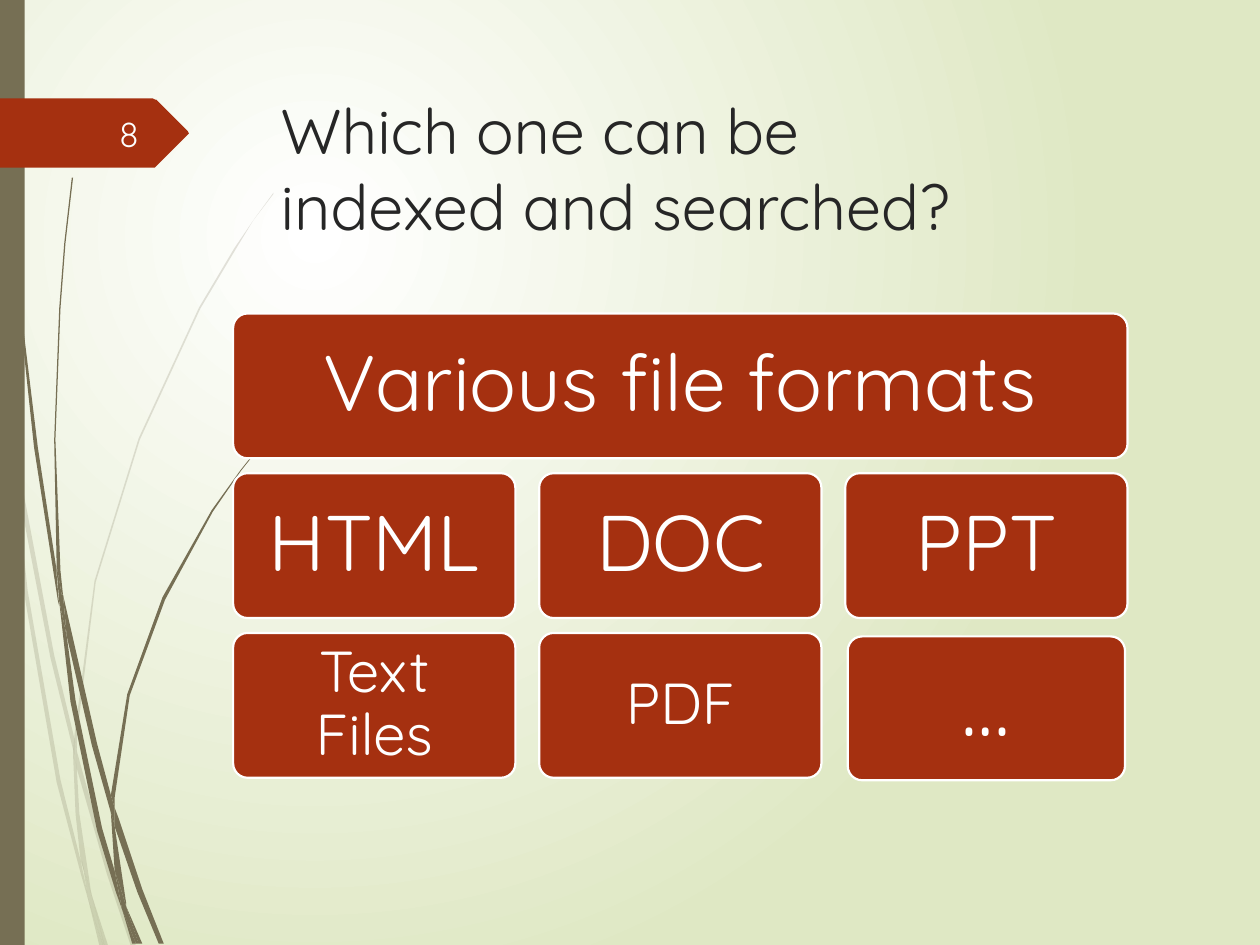
from dataclasses import dataclass

import pptx
import pptx.dml.color
import pptx.enum.shapes
import pptx.enum.text
import pptx.oxml
import pptx.oxml.ns
import pptx.util

Cm = pptx.util.Cm
SHAPES = pptx.enum.shapes.MSO_SHAPE
ALIGN = pptx.enum.text.PP_ALIGN
ANCHOR = pptx.enum.text.MSO_ANCHOR


@dataclass(frozen=True)
class Theme:
    font: str = "Quicksand"
    accent: str = "A53010"
    stalk: str = "766F54"
    title: str = "262626"
    white: str = "FFFFFF"
    number: str = "FEFFFF"
    background_edge: str = "DFE8C4"
    title_size: int = 36
    number_size: int = 20
    large_size: int = 45
    small_size: int = 33
    dots_size: int = 50


THEME = Theme()

# Outline corners are in hundredths of an inch.
OUTLINE_UNIT = Cm(2.54) / 100
PALE_STALKS = [
    [(8, 350), (6, 322), (0, 282), (0, 299), (7, 344)],
    [(40, 522), (59, 599), (59, 586), (43, 520), (10, 345), (12, 376)],
    [(64, 607), (61, 596), (61, 610), (85, 694), (104, 751), (108, 751), (88, 692)],
    [(83, 751), (86, 751), (73, 711)],
    [(64, 683), (48, 619), (22, 469), (12, 376), (8, 350), (19, 470), (45, 621),
     (64, 693), (70, 714), (69, 707)],
    [(58, 599), (60, 646), (64, 683), (67, 692), (73, 711), (72, 706), (63, 646),
     (61, 610), (61, 608)],
    [(61, 584), (76, 462), (111, 349), (159, 245), (187, 198), (201, 175), (217, 154),
     (217, 153), (201, 175), (186, 197), (158, 244), (110, 348), (75, 461), (59, 584),
     (59, 586), (61, 596)],
    [(70, 714), (79, 751), (82, 751)],
    [(61, 608), (61, 610), (61, 596), (59, 586), (58, 599)],
    [(67, 692), (65, 683), (69, 707), (70, 714), (82, 751), (83, 751), (73, 711)],
]
DARK_STALKS = [
    [(5, 110), (14, 233), (27, 355), (46, 477), (47, 481), (45, 457), (45, 453),
     (30, 355), (15, 232), (6, 109), (4, 48), (3, 0), (2, 0), (3, 48)],
    [(73, 592), (88, 645), (88, 633), (88, 631), (77, 590), (50, 472), (53, 505)],
    [(94, 649), (91, 641), (91, 656), (109, 708), (126, 749), (130, 749), (113, 706)],
    [(91, 691), (81, 657), (60, 556), (53, 505), (47, 477), (56, 557), (77, 659),
     (92, 708), (97, 722), (96, 717)],
    [(50, 472), (48, 453), (44, 349), (48, 245), (52, 193), (58, 141), (57, 141),
     (51, 193), (47, 245), (43, 349), (45, 449), (49, 472)],
    [(110, 749), (113, 749), (100, 719)],
    [(47, 477), (53, 505), (50, 472), (49, 472), (45, 449), (45, 453)],
    [(91, 633), (103, 552), (131, 476), (169, 406), (191, 374), (203, 359), (216, 344),
     (215, 344), (203, 358), (191, 373), (168, 405), (129, 474), (101, 551), (88, 631),
     (91, 641)],
    [(97, 722), (105, 749), (108, 749)],
    [(88, 645), (91, 691), (96, 706), (100, 719), (100, 716), (91, 656), (90, 651)],
    [(88, 645), (90, 651), (91, 656), (91, 641), (88, 631), (88, 633)],
    [(96, 706), (91, 691), (96, 717), (97, 722), (108, 749), (110, 749), (100, 719)],
]
NUMBER_TAG = [(149, 107), (124, 132), (123, 133), (121, 133), (0, 133), (0, 78),
              (121, 78), (123, 79), (124, 79), (149, 104), (150, 106)]

GRID_LEFT, GRID_TOP = 4.7, 6.32
COLUMN_PITCH, ROW_PITCH = 6.17, 3.22
TILE_WIDTH, TILE_HEIGHT = 5.69, 2.92


def rgb(color):
    return pptx.dml.color.RGBColor.from_string(color)


def paint_background(slide):
    """Radial gradient, lightest in the upper left quarter."""
    fill = slide.background.fill
    fill.gradient()
    for stop, color in zip(fill.gradient_stops, (THEME.white, THEME.background_edge)):
        stop.color.rgb = rgb(color)
    fill.gradient_stops[0].position = 0
    fill.gradient_stops[1].position = 1
    qn = pptx.oxml.ns.qn
    gradient = slide.element.find(".//" + qn("a:gradFill"))
    circle = pptx.oxml.parse_xml(
        f'<a:path {pptx.oxml.ns.nsdecls("a")} path="circle">'
        '<a:fillToRect l="50000" t="50000" r="100000" b="100000"/></a:path>')
    gradient.replace(gradient.find(qn("a:lin")), circle)


def paint(shape, color, line=None, alpha=None):
    shape.shadow.inherit = False
    shape.fill.solid()
    shape.fill.fore_color.rgb = rgb(color)
    if alpha is not None:
        element = shape.fill._xPr.find(".//" + pptx.oxml.ns.qn("a:srgbClr"))
        element.append(pptx.oxml.parse_xml(
            f'<a:alpha {pptx.oxml.ns.nsdecls("a")} val="{alpha * 1000}"/>'))
    if line:
        shape.line.color.rgb = rgb(line)
        shape.line.width = pptx.util.Pt(1.25)
    else:
        shape.line.fill.background()


def add_outline(slide, corners, color, alpha=None):
    builder = slide.shapes.build_freeform(*corners[0], scale=OUTLINE_UNIT)
    builder.add_line_segments(corners[1:], close=True)
    paint(builder.convert_to_shape(), color, alpha=alpha)


def write(shape, text, size, color, align=ALIGN.LEFT, anchor=ANCHOR.TOP,
          margin=None, line_spacing=None):
    frame = shape.text_frame
    frame.word_wrap = True
    frame.vertical_anchor = anchor
    if margin is not None:
        frame.margin_left = frame.margin_right = Cm(margin)
        frame.margin_top = frame.margin_bottom = Cm(margin)
    frame.text = text
    paragraph = frame.paragraphs[0]
    paragraph.alignment = align
    paragraph.line_spacing = line_spacing
    for run in paragraph.runs:
        run.font.name = THEME.font
        run.font.size = pptx.util.Pt(size)
        run.font.color.rgb = rgb(color)


def add_text(slide, box, text, **style):
    write(slide.shapes.add_textbox(*map(Cm, box)), text, **style)


def add_tile(slide, box, text, size):
    tile = slide.shapes.add_shape(SHAPES.ROUNDED_RECTANGLE, *map(Cm, box))
    tile.adjustments[0] = 0.1
    paint(tile, THEME.accent, line=THEME.white)
    write(tile, text, size, THEME.white, align=ALIGN.CENTER, anchor=ANCHOR.MIDDLE,
          margin=size / 90, line_spacing=0.9)


def add_decoration(slide):
    for corners in PALE_STALKS:
        add_outline(slide, corners, THEME.stalk, alpha=20)
    for corners in DARK_STALKS:
        add_outline(slide, corners, THEME.stalk)
    side_bar = slide.shapes.add_shape(SHAPES.RECTANGLE, 0, 0, Cm(0.5), Cm(19.05))
    paint(side_bar, THEME.stalk)
    add_outline(slide, NUMBER_TAG, THEME.accent)


def add_format_tiles(slide):
    header_width = 2 * COLUMN_PITCH + TILE_WIDTH
    add_tile(slide, (GRID_LEFT, GRID_TOP, header_width, TILE_HEIGHT),
             "Various file formats", THEME.large_size)
    rows = [(("HTML", "DOC", "PPT"), THEME.large_size),
            (("Text Files", "PDF"), THEME.small_size)]
    for row, (names, size) in enumerate(rows, start=1):
        for column, name in enumerate(names):
            box = (GRID_LEFT + column * COLUMN_PITCH, GRID_TOP + row * ROW_PITCH,
                   TILE_WIDTH, TILE_HEIGHT)
            add_tile(slide, box, name, size)
    add_tile(slide, (17.09, 12.83, 5.59, 2.9), "…", THEME.dots_size)


def main():
    presentation = pptx.Presentation()
    presentation.slide_width = Cm(25.4)
    presentation.slide_height = Cm(19.05)
    slide = presentation.slides.add_slide(presentation.slide_layouts[6])
    paint_background(slide)
    add_decoration(slide)
    add_text(slide, (5.41, 1.73, 18.31, 3.56),
             "Which one can be \vindexed and searched?",
             size=THEME.title_size, color=THEME.title)
    add_text(slide, (1.42, 2.18, 1.63, 1.02), "8", size=THEME.number_size,
             color=THEME.number, align=ALIGN.RIGHT, anchor=ANCHOR.MIDDLE)
    add_format_tiles(slide)
    presentation.save("out.pptx")


if __name__ == "__main__":
    main()
